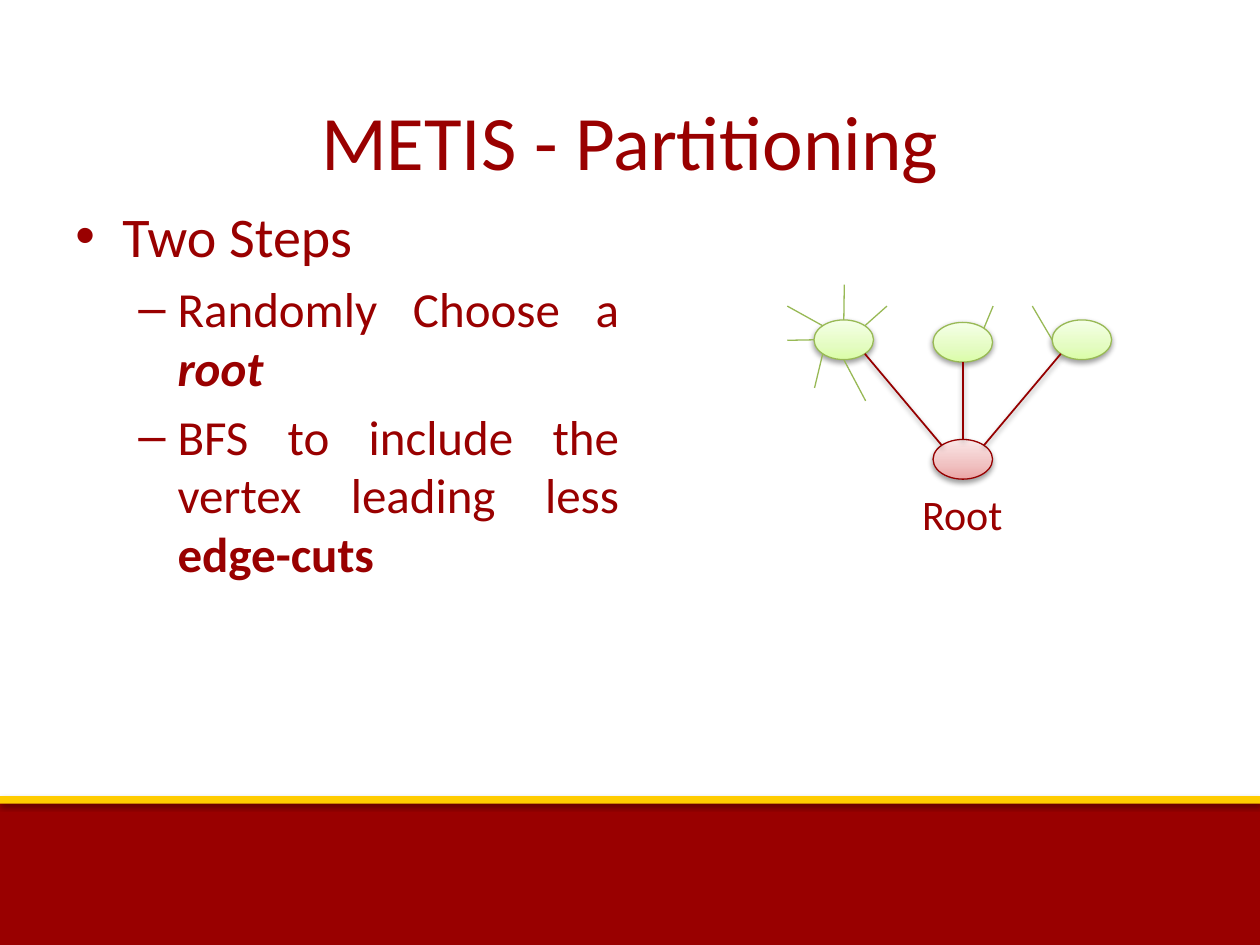
"""Build a slide that explains the two steps of METIS partitioning."""
from math import cos, radians, sin

from lxml.etree import SubElement
from pptx import Presentation
from pptx.dml.color import RGBColor
from pptx.enum.shapes import MSO_CONNECTOR, MSO_SHAPE
from pptx.enum.text import MSO_ANCHOR, PP_ALIGN
from pptx.oxml.ns import qn
from pptx.util import Cm, Pt

CRIMSON = RGBColor(0x99, 0x00, 0x00)
GOLD = RGBColor(0xFF, 0xCC, 0x00)
EDGE_RED = RGBColor(0x96, 0x00, 0x00)
LEAF_GREEN = RGBColor(0x98, 0xB9, 0x55)
GREEN_BLEND = [(0, "DAFDA7"), (35, "E4FCC2"), (100, "F5FFE7")]
RED_BLEND = [(0, "EBA5A5"), (35, "F0C1C1"), (100, "FAE7E7")]

TITLE = [dict(runs=[("METIS - Partitioning", "")])]
STEPS = [
    dict(runs=[("Two Steps", "")], size=32, bullet="•", indent=0.95, hang=0.95),
    dict(runs=[("Randomly Choose a ", ""), ("root", "bi")],
         size=28, level=1, bullet="–", indent=2.06, hang=0.79),
    dict(runs=[("BFS to include the vertex leading less ", ""), ("edge-cuts", "b")],
         size=28, level=1, bullet="–", indent=2.06, hang=0.79),
]
ROOT_LABEL = [dict(runs=[("Root", "")])]

NODE_W, NODE_H = 1.2, 0.8
NODES = {
    "left": (16.41, 6.45, GREEN_BLEND, LEAF_GREEN),
    "middle": (18.81, 6.5, GREEN_BLEND, LEAF_GREEN),
    "right": (21.21, 6.45, GREEN_BLEND, LEAF_GREEN),
    "root": (18.81, 8.86, RED_BLEND, EDGE_RED),
}
TREE_EDGES = [("left", 315, 135), ("middle", 270, 90), ("right", 225, 45)]
SPOKES = [
    ("left", 90, (17.02, 5.74)), ("left", 180, (15.87, 6.86)),
    ("left", 45, (17.88, 6.17)), ("left", 225, (16.42, 7.82)),
    ("left", 270, (17.45, 8.08)), ("left", 135, (15.87, 6.17)),
    ("middle", 45, (20.02, 6.17)), ("right", 180, (20.81, 6.17)),
]

deck = Presentation()
deck.slide_width, deck.slide_height = Cm(25.4), Cm(19.05)
slide = deck.slides.add_slide(deck.slide_layouts[6])


def add_shadow(properties, opacity=38, distance=20000):
    effects = properties.find(qn("a:effectLst"))
    if effects is None:
        effects = SubElement(properties, qn("a:effectLst"))
    shadow = SubElement(effects, qn("a:outerShdw"), blurRad="40000",
                        dist=str(distance), dir="5400000", rotWithShape="0")
    color = SubElement(shadow, qn("a:srgbClr"), val="000000")
    SubElement(color, qn("a:alpha"), val=str(opacity * 1000))


def add_band(top, height, color, **shadow):
    band = slide.shapes.add_shape(MSO_SHAPE.RECTANGLE, 0, Cm(top), deck.slide_width, Cm(height))
    band.shadow.inherit = False
    band.fill.solid()
    band.fill.fore_color.rgb = color
    band.line.fill.background()
    add_shadow(band._element.spPr, **shadow)


def add_node(left, top, blend, outline):
    node = slide.shapes.add_shape(MSO_SHAPE.OVAL, Cm(left), Cm(top), Cm(NODE_W), Cm(NODE_H))
    node.shadow.inherit = False
    node.fill.gradient()
    node.fill.gradient_angle = 90
    stops = node._element.spPr.find(".//" + qn("a:gsLst"))
    for stop in list(stops):
        stops.remove(stop)
    for position, color in blend:
        stop = SubElement(stops, qn("a:gs"), pos=str(position * 1000))
        SubElement(stop, qn("a:srgbClr"), val=color)
    node.line.color.rgb = outline
    node.line.width = Pt(0.75)
    add_shadow(node._element.spPr)


def rim(name, angle):
    left, top, *_ = NODES[name]
    return (left + NODE_W / 2 * (1 + cos(radians(angle))),
            top + NODE_H / 2 * (1 - sin(radians(angle))))


def add_line(start, end, color, width, shadowed=False):
    line = slide.shapes.add_connector(MSO_CONNECTOR.STRAIGHT, *map(Cm, start + end))
    line.line.color.rgb = color
    line.line.width = Pt(width)
    if shadowed:
        add_shadow(line._element.spPr)
    else:
        SubElement(line._element.spPr, qn("a:effectLst"))


def add_text(paragraphs, box, size=24, align=PP_ALIGN.LEFT, anchor=MSO_ANCHOR.TOP,
             spacing=1.0, wrap=True):
    frame = slide.shapes.add_textbox(*map(Cm, box)).text_frame
    frame.word_wrap = wrap
    frame.vertical_anchor = anchor
    for index, entry in enumerate(paragraphs):
        paragraph = frame.paragraphs[0] if index == 0 else frame.add_paragraph()
        paragraph.alignment = align
        paragraph.line_spacing = spacing
        paragraph.level = entry.get("level", 0)
        points = entry.get("size", size)
        if "bullet" in entry:
            paragraph.space_before = Pt(points * 0.2)
            properties = paragraph._p.get_or_add_pPr()
            properties.set("marL", str(Cm(entry["indent"])))
            properties.set("indent", str(-Cm(entry["hang"])))
            SubElement(properties, qn("a:buFont"), typeface="Arial")
            SubElement(properties, qn("a:buChar"), char=entry["bullet"])
        for words, style in entry["runs"]:
            run = paragraph.add_run()
            run.text = words
            run.font.name = "Calibri"
            run.font.size = Pt(points)
            run.font.color.rgb = CRIMSON
            run.font.bold = "b" in style
            run.font.italic = "i" in style


add_band(16.13, 2.92, CRIMSON, opacity=35, distance=23000)
add_band(16.05, 0.15, GOLD)
add_text(TITLE, (1.27, 0.76, 22.86, 3.18), size=44, align=PP_ALIGN.CENTER,
         anchor=MSO_ANCHOR.MIDDLE, spacing=1.5)
add_text(STEPS, (1.27, 3.94, 11.46, 10.08), align=PP_ALIGN.JUSTIFY)

for node_details in NODES.values():
    add_node(*node_details)
for leaf, leaf_angle, root_angle in TREE_EDGES:
    add_line(rim("root", root_angle), rim(leaf, leaf_angle), EDGE_RED, 1, shadowed=True)
add_text(ROOT_LABEL, (18.34, 9.73, 2.16, 1.27), wrap=False)
for owner, angle, tip in SPOKES:
    add_line(rim(owner, angle), tip, LEAF_GREEN, 0.75)

deck.save("out.pptx")
